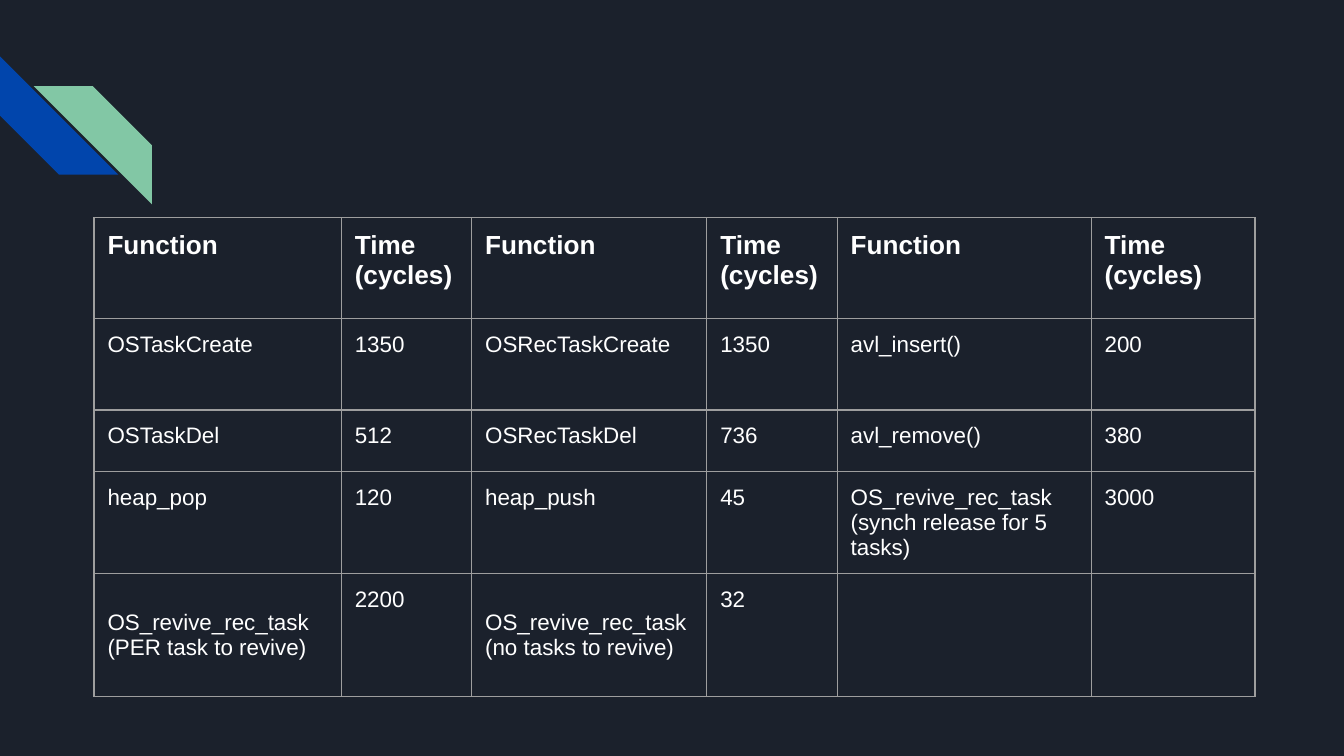
from lxml import etree
from pptx import Presentation
from pptx.dml.color import RGBColor
from pptx.enum import shapes, text
from pptx.oxml import ns
from pptx.util import Inches, Pt

BACKGROUND, BLUE, GREEN = "1B212C", "0145AC", "82C7A5"
WHITE, GREY = "FFFFFF", "9E9E9E"
COLUMN_WIDTHS = [1.84, 0.97, 1.75, 0.97, 1.89, 1.22]
ROW_HEIGHTS = [0.75, 0.68, 0.46, 0.76, 0.91]
TIMINGS = [
    ["Function", "Time\n(cycles)", "Function", "Time (cycles)", "Function", "Time \n(cycles)"],
    ["OSTaskCreate", "1350", "OSRecTaskCreate", "1350", "avl_insert()", "200"],
    ["OSTaskDel", "512", "OSRecTaskDel", "736", "avl_remove()", "380"],
    ["heap_pop", "120", "heap_push", "45",
     "OS_revive_rec_task (synch release for 5 tasks)", "3000"],
    ["OS_revive_rec_task (PER task to revive)", "2200",
     "OS_revive_rec_task (no tasks to revive)", "32", "", ""],
]


def paint(fill, color):
    """Give a fill one solid colour."""
    fill.solid()
    fill.fore_color.rgb = RGBColor.from_string(color)


def add_stripe(slide, left, top, color, rotation=0, flipped=False):
    """Add one diagonal stripe of the corner ornament."""
    stripe = slide.shapes.add_shape(
        shapes.MSO_SHAPE.DIAGONAL_STRIPE, Inches(left), Inches(top), Inches(0.88), Inches(0.88))
    stripe.shadow.inherit = False
    stripe.adjustments[0] = 0.5
    stripe.rotation = rotation
    if flipped:
        stripe._element.spPr.get_or_add_xfrm().set("flipH", "1")
    paint(stripe.fill, color)
    stripe.line.fill.background()


def add_borders(cell):
    """Draw a thin grey line on all four sides of a cell."""
    properties = cell._tc.get_or_add_tcPr()
    for side in ("a:lnL", "a:lnR", "a:lnT", "a:lnB"):
        border = etree.SubElement(properties, ns.qn(side), w=str(Pt(0.75)))
        solid = etree.SubElement(border, ns.qn("a:solidFill"))
        etree.SubElement(solid, ns.qn("a:srgbClr"), val=GREY)


def write_cell(cell, wording, size, bold):
    """Write the wording of a cell, with a line break at each newline."""
    paragraph = cell.text_frame.paragraphs[0]
    for index, line in enumerate(wording.split("\n")):
        if index:
            paragraph.add_line_break()
        run = paragraph.add_run()
        run.text = line
        run.font.name = "Arial"
        run.font.size = Pt(size)
        run.font.bold = bold
        run.font.color.rgb = RGBColor.from_string(WHITE)


def add_timings(slide):
    """Add the table of function timings."""
    table = slide.shapes.add_table(
        len(ROW_HEIGHTS), len(COLUMN_WIDTHS), Inches(0.7), Inches(1.62),
        Inches(sum(COLUMN_WIDTHS)), Inches(sum(ROW_HEIGHTS))).table
    table.first_row = table.horz_banding = False
    for column, width in zip(table.columns, COLUMN_WIDTHS):
        column.width = Inches(width)
    for row_index, (row, height) in enumerate(zip(table.rows, ROW_HEIGHTS)):
        row.height = Inches(height)
        header = row_index == 0
        for cell, wording in zip(row.cells, TIMINGS[row_index]):
            cell.margin_left = cell.margin_right = Inches(0.1)
            cell.margin_top = cell.margin_bottom = Inches(0.1)
            add_borders(cell)
            cell.fill.background()
            if wording:
                write_cell(cell, wording, 14 if header else 12, header)
    for column_index in (0, 2):
        table.cell(4, column_index).vertical_anchor = text.MSO_ANCHOR.MIDDLE


def main():
    """Build the slide in 16:9 and save it."""
    deck = Presentation()
    deck.slide_width = Inches(10)
    deck.slide_height = deck.slide_width * 9 // 16
    slide = deck.slides.add_slide(deck.slide_layouts[6])
    paint(slide.background.fill, BACKGROUND)
    add_stripe(slide, 0, 0.42, BLUE, rotation=270)
    add_stripe(slide, 0.25, 0.64, GREEN, flipped=True)
    add_timings(slide)
    deck.save("out.pptx")


if __name__ == "__main__":
    main()
